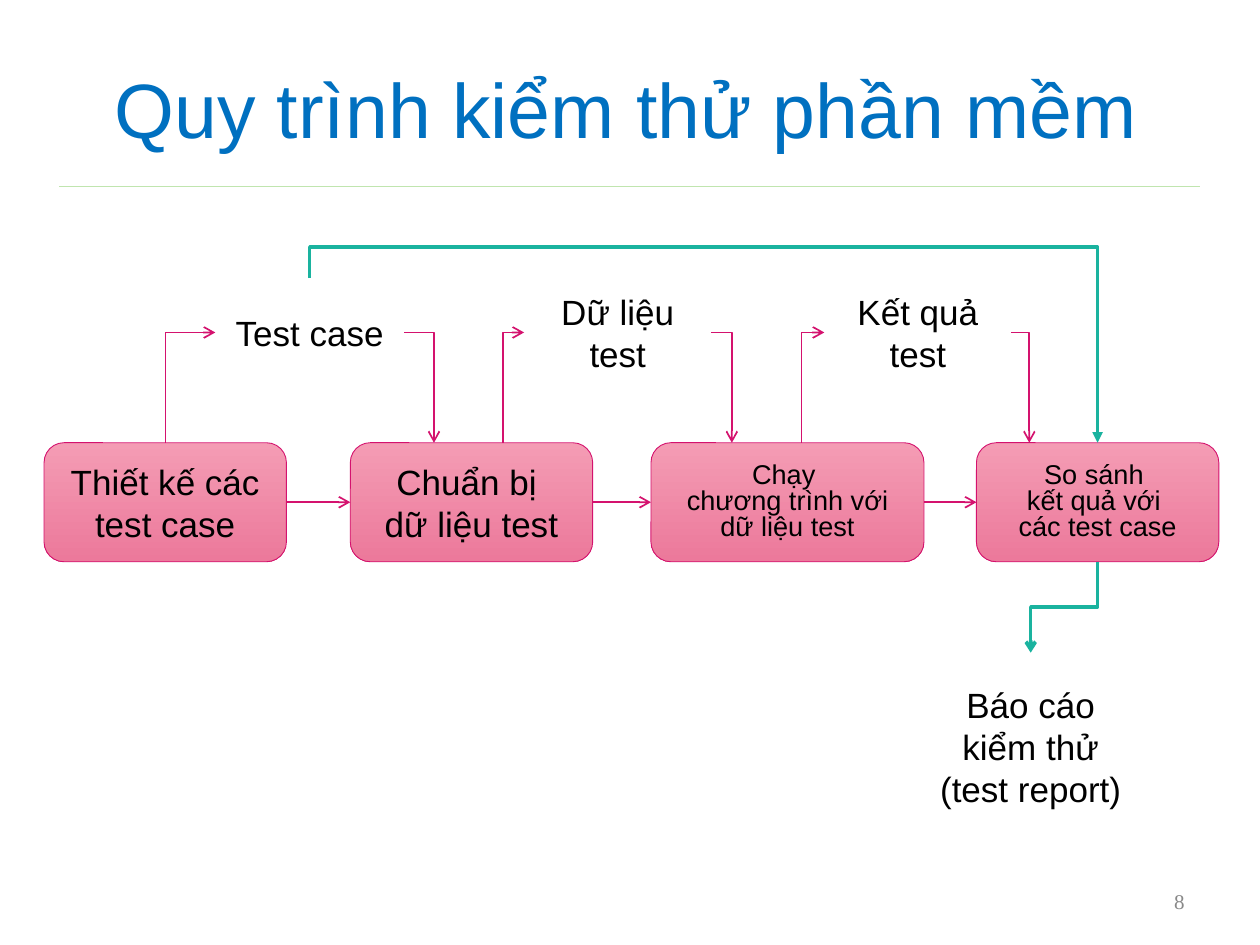
"""Build the software testing process slide."""
from lxml.etree import SubElement as Sub
from pptx import Presentation
from pptx.dml.color import RGBColor as RGB
from pptx.enum.shapes import MSO_CONNECTOR as Link, MSO_SHAPE as Shape
from pptx.enum.text import MSO_ANCHOR as Anchor, PP_ALIGN as Align
from pptx.oxml.ns import qn
from pptx.util import Pt

PINK, TEAL, WHITE = "D4126E", "1AB39F", "FFFFFF"


def write(shape, paras, size, color="000000", font="Arial", align=Align.CENTER, space=None):
    frame = shape.text_frame
    frame.word_wrap = True
    frame.vertical_anchor = Anchor.MIDDLE
    for i, lines in enumerate(paras):
        para = frame.add_paragraph() if i else frame.paragraphs[0]
        para.alignment = align
        para.line_spacing = space
        for j, line in enumerate(lines.split("\n")):
            if j:
                para.add_line_break()
            run = para.add_run()
            run.text = line
            run.font.size = Pt(size)
            run.font.name = font
            run.font.color.rgb = RGB.from_string(color)


def join(start, end, color=PINK, width=1, head="arrow", kind=None, turn=0, bend=None):
    (x1, y1), (x2, y2) = start, end
    if turn:
        mx, my = (x1 + x2) / 2, (y1 + y2) / 2
        dx, dy = turn * (y1 - my), turn * (mx - x1)
        x1, y1, x2, y2 = mx + dx, my + dy, mx - dx, my - dy
    style = Link.ELBOW if kind else Link.STRAIGHT
    line = slide.shapes.add_connector(style, Pt(x1), Pt(y1), Pt(x2), Pt(y2))
    line.line.color.rgb = RGB.from_string(color)
    line.line.width = Pt(width)
    props = line._element.spPr
    if turn:
        props.find(qn("a:xfrm")).set("rot", str(turn % 4 * 5400000))
    if kind:
        geom = props.find(qn("a:prstGeom"))
        geom.set("prst", kind)
        if bend is not None:
            Sub(geom.find(qn("a:avLst")), qn("a:gd"), name="adj1", fmla=f"val {round(bend * 100000)}")
    if head:
        Sub(props.find(qn("a:ln")), qn("a:tailEnd"), type=head)
    Sub(props, qn("a:effectLst"))
    return line


deck = Presentation()
deck.slide_width, deck.slide_height = Pt(720), Pt(540)
slide = deck.slides.add_slide(deck.slide_layouts[6])

join((34, 106.5), (686, 106.5), "C0E5AF", 0.5, None)
title = slide.shapes.add_textbox(Pt(34), Pt(16.5), Pt(648), Pt(90))
write(title, ["Quy trình kiểm thử phần mềm"], 44, "0070C0")
page = slide.shapes.add_textbox(Pt(516), Pt(500.5), Pt(168), Pt(28.75))
write(page, ["8"], 12, "898989", "Times New Roman", Align.RIGHT)

top, tall, mid = 253, 68, 190
steps = [
    (25.2, 138.5, ["Thiết kế các test case"], 20, None),
    (200.2, 138.5, ["Chuẩn bị ", "dữ liệu test"], 20, None),
    (372, 156, ["Chạy \nchương trình với dữ liệu test"], 15.5, 0.8),
    (558, 138.5, ["So sánh \nkết quả với \ncác test case"], 15.5, 0.8),
]
boxes = []
for left, wide, paras, size, space in steps:
    box = slide.shapes.add_shape(Shape.ROUNDED_RECTANGLE, Pt(left), Pt(top), Pt(wide), Pt(tall))
    box.shadow.inherit = False
    box.fill.gradient()
    box.fill.gradient_angle = 270
    for stop, tint in zip(box.fill.gradient_stops, ("F49CB4", "EC799B")):
        stop.color.rgb = RGB.from_string(tint)
    box.line.color.rgb = RGB.from_string(PINK)
    box.line.width = Pt(0.5)
    write(box, paras, size, space=space)
    boxes.append(box)

for one, two in zip(boxes, boxes[1:]):
    arrow = join((0, 0), (9, 9))
    arrow.begin_connect(one, 3)
    arrow.end_connect(two, 1)

notes = [
    (123, 159, 108, 62, ["Test case"]),
    (299.5, 159, 107, 62, ["Dữ liệu test"]),
    (471, 159, 107, 62, ["Kết quả test"]),
    (524, 373, 130, 107, ["Báo cáo kiểm thử", "(test report)"]),
]
for left, head, wide, high, paras in notes:
    note = slide.shapes.add_shape(Shape.RECTANGLE, Pt(left), Pt(head), Pt(wide), Pt(high))
    note.shadow.inherit = False
    note.fill.solid()
    note.fill.fore_color.rgb = RGB.from_string(WHITE)
    note.line.color.rgb = RGB.from_string(WHITE)
    note.line.width = Pt(0.5)
    write(note, paras, 20)

for rise, fall, (left, _, wide, _, _) in zip((94.5, 287.3, 458), (248, 418.2, 588.2), notes):
    join((rise, top), (left, mid), kind="bentConnector2", turn=1)
    join((left + wide, mid), (fall, top), kind="bentConnector2")

join((177, 159), (627.2, top), TEAL, 2, "triangle", "bentConnector3", -1, -0.19)
join((627.2, top + tall), (589, 373), TEAL, 2, "arrow", "bentConnector3", 1, 0.5)

deck.save("out.pptx")
